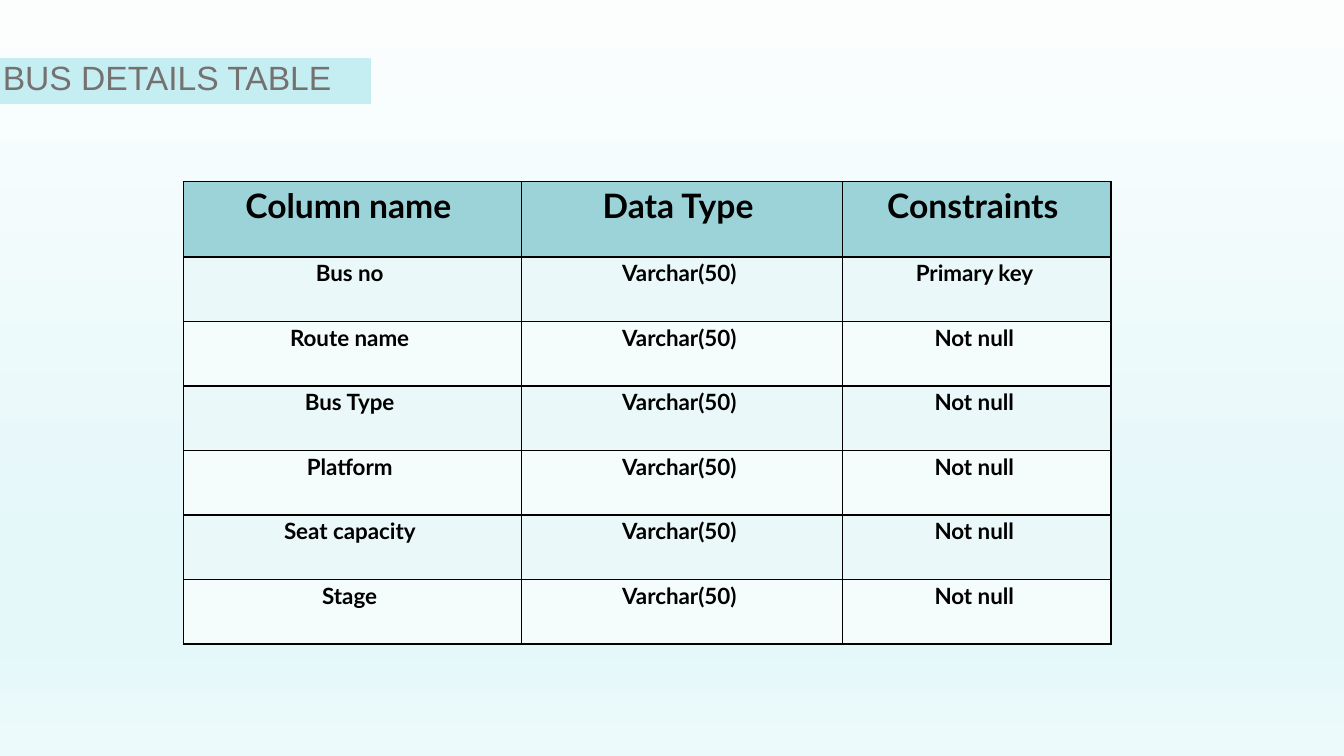
from lxml.etree import SubElement
from pptx import Presentation
from pptx.dml.color import RGBColor
from pptx.enum.shapes import MSO_SHAPE
from pptx.enum.text import MSO_ANCHOR, PP_ALIGN
from pptx.oxml.ns import qn
from pptx.util import Inches, Pt

COLORS = {
    "band": "C4EEF2",
    "title": "767171",
    "text": "000000",
    "header": "9CD3D9",
    "odd_row": "EAF8FA",
    "even_row": "F5FCFC",
}
BACKGROUND_STOPS = [(0, "FCFEFE"), (74, "E4F7F9"), (83, "E4F7F9"), (100, "EDFAFB")]

COLUMN_WIDTHS = [3.35, 3.19, 2.66]
HEADER_HEIGHT, ROW_HEIGHT = 0.75, 0.64
HEADINGS = ["Column name ", "Data Type ", "Constraints "]
FIELDS = ["Bus no ", "Route name ", "Bus Type ", "Platform ", "Seat capacity ", "Stage "]


def color(name):
    return RGBColor.from_string(COLORS[name])


def set_background(slide):
    fill = slide.background.fill
    fill.gradient()
    fill.gradient_angle = 270
    stop_list = slide.element.find(".//" + qn("a:gsLst"))
    for stop in list(stop_list):
        stop_list.remove(stop)
    for position, value in BACKGROUND_STOPS:
        stop = SubElement(stop_list, qn("a:gs"), pos=str(position * 1000))
        SubElement(stop, qn("a:srgbClr"), val=value)


def format_text(paragraph, font_name, size, color_name, bold=False):
    font = paragraph.runs[0].font
    font.name = font_name
    font.size = Pt(size)
    font.bold = bold
    font.color.rgb = color(color_name)


def add_title_band(slide):
    band = slide.shapes.add_shape(
        MSO_SHAPE.MATH_MINUS, Inches(-0.66), Inches(-0.16), Inches(5), Inches(1.93))
    band.shadow.inherit = False
    band.fill.solid()
    band.fill.fore_color.rgb = color("band")
    band.line.fill.background()


def add_title(slide, text):
    box = slide.shapes.add_textbox(
        Inches(-0.07), Inches(0.56), Inches(3.9), Inches(0.56))
    box.text_frame.word_wrap = True
    box.text_frame.text = text
    paragraph = box.text_frame.paragraphs[0]
    paragraph.line_spacing = 0.9
    format_text(paragraph, "Arial", 24, "title")


def fill_cell(cell, text, size, fill_name):
    cell.fill.solid()
    cell.fill.fore_color.rgb = color(fill_name)
    cell.margin_left = cell.margin_right = Inches(0.08)
    cell.margin_top, cell.margin_bottom = Inches(0.01), Inches(0)
    cell.vertical_anchor = MSO_ANCHOR.TOP
    cell.text_frame.text = text
    paragraph = cell.text_frame.paragraphs[0]
    paragraph.alignment = PP_ALIGN.CENTER
    paragraph.line_spacing = 1.07
    paragraph.space_after = Pt(0.3)
    format_text(paragraph, "Lato", size, "text", bold=True)


def add_details_table(slide, rows):
    height = HEADER_HEIGHT + ROW_HEIGHT * (len(rows) - 1)
    table = slide.shapes.add_table(
        len(rows), len(COLUMN_WIDTHS), Inches(1.82), Inches(1.8),
        Inches(sum(COLUMN_WIDTHS)), Inches(height)).table
    for column, width in zip(table.columns, COLUMN_WIDTHS):
        column.width = Inches(width)
    for index, texts in enumerate(rows):
        is_header = index == 0
        table.rows[index].height = Inches(HEADER_HEIGHT if is_header else ROW_HEIGHT)
        row_fill = "odd_row" if index % 2 else "even_row"
        for cell, text in zip(table.rows[index].cells, texts):
            fill_cell(cell, text, 24 if is_header else 16,
                      "header" if is_header else row_fill)
    # Remove the style that would draw white cell borders
    properties = table._tbl.tblPr
    properties.remove(properties.find(qn("a:tableStyleId")))


def main():
    presentation = Presentation()
    presentation.slide_width = Inches(13.33)
    presentation.slide_height = Inches(7.5)
    slide = presentation.slides.add_slide(presentation.slide_layouts[6])
    set_background(slide)

    # Title on its band
    add_title_band(slide)
    add_title(slide, "BUS DETAILS TABLE")

    # Bus details: the first field is the key
    rows = [[field, "Varchar(50) ", "Not null "] for field in FIELDS]
    rows[0][2] = "Primary key "
    add_details_table(slide, [HEADINGS] + rows)

    presentation.save("out.pptx")


if __name__ == "__main__":
    main()
